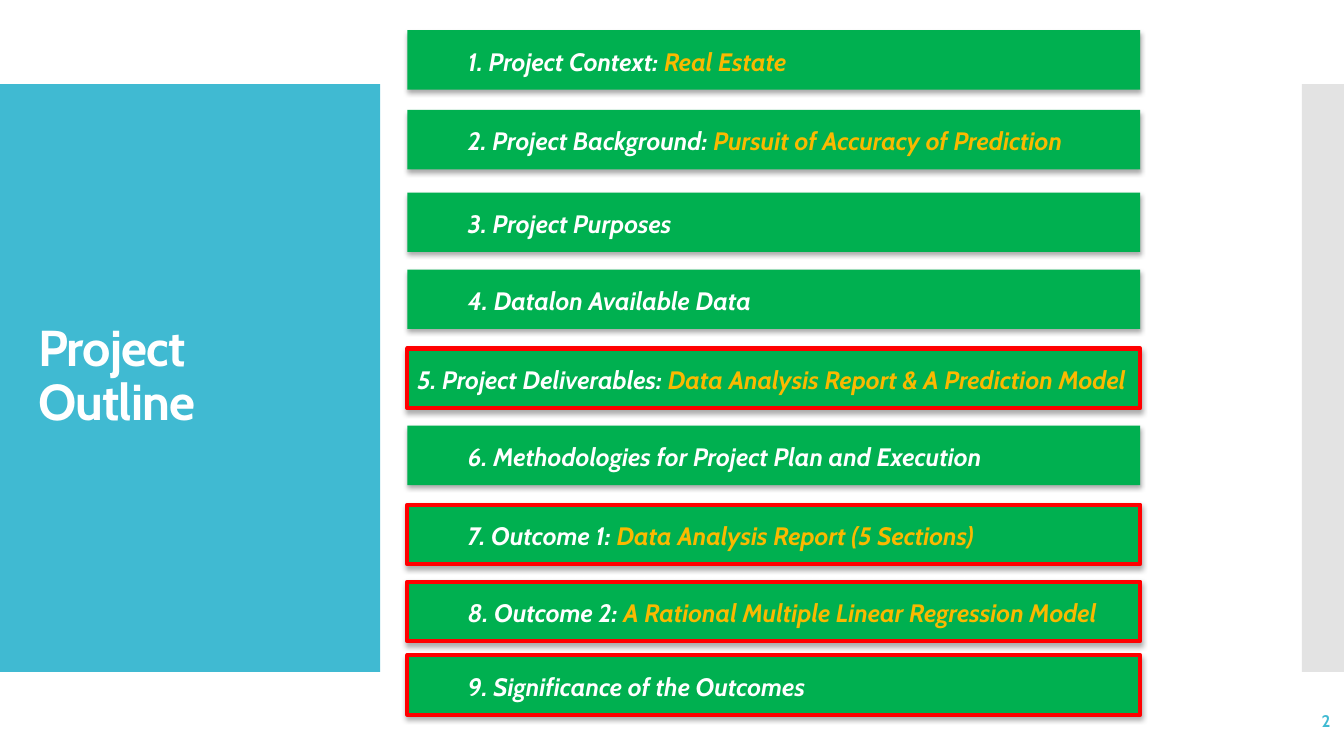
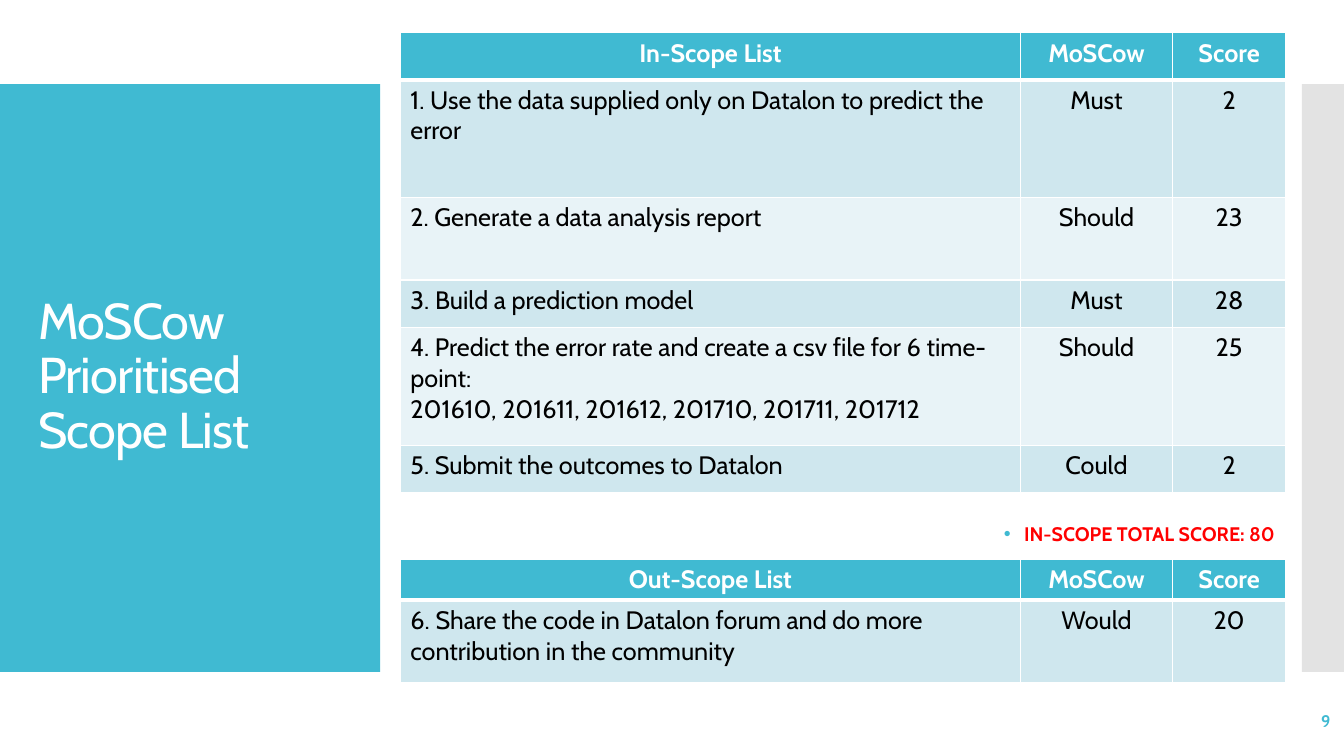
import pptx
import pptx.util
import pptx.dml.color
import pptx.enum.shapes
import pptx.enum.text
import pptx.oxml
import pptx.oxml.ns
import lxml.etree

Pt = pptx.util.Pt
ALIGN = pptx.enum.text.PP_ALIGN
ANCHOR = pptx.enum.text.MSO_ANCHOR
NAMESPACE = pptx.oxml.ns.nsdecls("a")

COLOURS = {
    "teal": "40BAD2", "grey": "C8C8C8", "white": "FFFFFF", "black": "000000",
    "green": "00B050", "amber": "FAB900", "red": "FF0000",
    "row_dark": "CFE7EE", "row_light": "E8F3F7",
}
FORMATS = {
    "title": {"size": Pt(36)},
    "title_bold": {"size": Pt(36), "bold": True},
    "number": {"size": Pt(12), "bold": True},
    "bar": {"size": Pt(18), "bold": True, "italic": True},
    "header": {"size": Pt(18), "bold": True},
    "cell": {"size": Pt(18), "bold": False},
    "total": {"size": Pt(14), "bold": True},
}
SPACING = {
    "title": {"alignment": ALIGN.LEFT, "line_spacing": 0.9},
    "number": {"alignment": ALIGN.RIGHT},
    "bar": {"alignment": ALIGN.LEFT, "line_spacing": 1.07, "space_after": Pt(8)},
    "total": {"alignment": ALIGN.RIGHT, "line_spacing": 0.9, "space_before": Pt(0)},
}

BAR_LEFT, BAR_WIDTH, BAR_HEIGHT = 291, 523.5, 42.5
BAR_INSET, BAR_INDENT = 7.2, 43.2
OUTLINE = [
    (21.6, "1. Project Context: ", "Real Estate", False),
    (78.5, "2. Project Background: ", "Pursuit of Accuracy of Prediction", False),
    (137.5, "3. Project Purposes", "", False),
    (192.5, "4. Datalon Available Data", "", False),
    (249, "5. Project Deliverables: ", "Data Analysis Report & A Prediction Model", True),
    (304, "6. Methodologies for Project Plan and Execution", "", False),
    (360.5, "7. Outcome 1: ", "Data Analysis Report (5 Sections)", True),
    (415.5, "8. Outcome 2: ", "A Rational Multiple Linear Regression Model", True),
    (468, "9. Significance of the Outcomes", "", True),
]
TABLE_LEFT, COLUMN_WIDTHS = 286, [443, 108.5, 81]
IN_SCOPE = [
    ("In-Scope List", "MoSCow", "Score"),
    ("1. Use the data supplied only on Datalon to predict the error", "Must", "2"),
    ("2. Generate a data analysis report", "Should", "23"),
    ("3. Build a prediction model", "Must", "28"),
    ("4. Predict the error rate and create a csv file for 6 time-point:\n"
     "201610, 201611, 201612, 201710, 201711, 201712", "Should", "25"),
    ("5. Submit the outcomes to Datalon", "Could", "2"),
]
OUT_SCOPE = [
    ("Out-Scope List", "MoSCow", "Score"),
    ("6. Share the code in Datalon forum and do more contribution in the community",
     "Would", "20"),
]


def assign(target, values):
    for name, value in values.items():
        setattr(target, name, value)


def colour(name):
    return pptx.dml.color.RGBColor.from_string(COLOURS[name])


class ScopeDeck:
    font = "Cabin"

    def __init__(self):
        self.deck = pptx.Presentation()
        assign(self.deck, {"slide_width": Pt(960), "slide_height": Pt(540)})
        self.page = None

    def start(self, layout, title, number, style):
        self.page = self.deck.slides.add_slide(self.deck.slide_layouts[layout])
        if len(self.deck.slides) == 1:
            self.master_bands()
        box = self.page.shapes.title
        self.place(box, 20, 88.5, 232, 362)
        para = self.fill_frame(box, ANCHOR.MIDDLE, "title")
        span = self.add_span(para, title, style, "white")
        span._r.get_or_add_rPr().set("spc", "-60")
        box = self.page.shapes.add_textbox(Pt(837.5), Pt(500.5), Pt(120), Pt(29))
        para = self.fill_frame(box, ANCHOR.MIDDLE, "number")
        self.add_span(para, number, "number", "teal")

    def master_bands(self):
        panel = self.add_rectangle(0, 60, 271.5, 420, "teal")
        strip = self.add_rectangle(930, 60, 30, 420, "grey")
        tint = strip._element.spPr.find(".//" + pptx.oxml.ns.qn("a:srgbClr"))
        lxml.etree.SubElement(tint, pptx.oxml.ns.qn("a:alpha"), val="50000")
        for band in (strip, panel):
            self.deck.slide_master.shapes._spTree.insert(2, band._element)

    def place(self, box, left, top, width, height):
        assign(box, {"left": Pt(left), "top": Pt(top),
                     "width": Pt(width), "height": Pt(height)})

    def fill_frame(self, box, anchor, spacing):
        frame = box.text_frame
        assign(frame, {"word_wrap": True, "vertical_anchor": anchor,
                       "auto_size": pptx.enum.text.MSO_AUTO_SIZE.NONE})
        para = frame.paragraphs[0]
        assign(para, SPACING[spacing])
        return para

    def add_span(self, para, text, style, tint):
        span = para.add_run()
        span.text = text
        assign(span.font, {"name": self.font, **FORMATS[style]})
        span.font.color.rgb = colour(tint)
        return span

    def add_rectangle(self, left, top, width, height, tint):
        box = self.page.shapes.add_shape(
            pptx.enum.shapes.MSO_SHAPE.RECTANGLE,
            Pt(left), Pt(top), Pt(width), Pt(height))
        box.shadow.inherit = False
        box.fill.solid()
        box.fill.fore_color.rgb = colour(tint)
        box.line.fill.background()
        return box

    def add_bar(self, top, label, detail, outlined, inset):
        box = self.add_rectangle(BAR_LEFT, top, BAR_WIDTH, BAR_HEIGHT, "green")
        if outlined:
            box.line.color.rgb = colour("red")
            box.line.width = Pt(3)
        effects = box._element.spPr.find(pptx.oxml.ns.qn("a:effectLst"))
        effects.append(pptx.oxml.parse_xml(
            f'<a:outerShdw {NAMESPACE} blurRad="{Pt(3.5)}" dist="{Pt(2.2)}" dir="5400000">'
            f'<a:srgbClr val="{COLOURS["black"]}"><a:alpha val="32000"/></a:srgbClr>'
            '</a:outerShdw>'))
        para = self.fill_frame(box, ANCHOR.MIDDLE, "bar")
        box.text_frame.margin_left = Pt(inset)
        self.add_span(para, label, "bar", "white")
        if detail:
            self.add_span(para, detail, "bar", "amber")

    def add_total(self, text):
        box = self.page.placeholders[1]
        self.place(box, 620, 362, 298, 40)
        para = self.fill_frame(box, ANCHOR.MIDDLE, "total")
        self.add_span(para, text, "total", "red")
        settings = para._p.get_or_add_pPr()
        settings.set("marL", str(Pt(14.4)))
        settings.set("indent", str(Pt(-14.4)))
        for bullet in (
            f'<a:buClr {NAMESPACE}><a:srgbClr val="{COLOURS["teal"]}"/></a:buClr>',
            f'<a:buFont {NAMESPACE} typeface="Arial"/>',
            f'<a:buChar {NAMESPACE} char="•"/>',
        ):
            settings.append(pptx.oxml.parse_xml(bullet))

    def add_scope_table(self, top, rows, heights):
        table = self.page.shapes.add_table(
            len(rows), len(COLUMN_WIDTHS), Pt(TABLE_LEFT), Pt(top),
            Pt(sum(COLUMN_WIDTHS)), Pt(sum(heights))).table
        for column, width in zip(table.columns, COLUMN_WIDTHS):
            column.width = Pt(width)
        for line, height in zip(table.rows, heights):
            line.height = Pt(height)
        for row, texts in enumerate(rows):
            for column, text in enumerate(texts):
                self.fill_cell(table.cell(row, column), row, column, text)

    def fill_cell(self, cell, row, column, text):
        header = row == 0
        fill = "teal" if header else ("row_light", "row_dark")[row % 2]
        self.add_borders(cell, row)
        cell.fill.solid()
        cell.fill.fore_color.rgb = colour(fill)
        cell.vertical_anchor = ANCHOR.TOP
        frame = cell.text_frame
        for index, part in enumerate(text.split("\n")):
            para = frame.add_paragraph() if index else frame.paragraphs[0]
            para.alignment = ALIGN.CENTER if header or column else ALIGN.LEFT
            self.add_span(para, part, "header" if header else "cell",
                          "white" if header else "black")

    def add_borders(self, cell, row):
        settings = cell._tc.get_or_add_tcPr()
        for side in "LRTB":
            width = 3 if (row, side) in ((0, "B"), (1, "T")) else 1
            settings.append(pptx.oxml.parse_xml(
                f'<a:ln{side} {NAMESPACE} w="{Pt(width)}"><a:solidFill>'
                f'<a:srgbClr val="{COLOURS["white"]}"/></a:solidFill></a:ln{side}>'))


def main():
    scope = ScopeDeck()

    scope.start(5, "Project Outline", "2", "title_bold")
    for top, label, detail, outlined in OUTLINE:
        inset = BAR_INSET if label.startswith("5.") else BAR_INDENT
        scope.add_bar(top, label, detail, outlined, inset)

    scope.start(1, "MoSCow Prioritised Scope List", "9", "title")
    scope.add_scope_table(23.5, IN_SCOPE, [33.5, 84, 59, 34, 84, 34])
    scope.add_total("IN-SCOPE TOTAL SCORE: 80")
    scope.add_scope_table(399.5, OUT_SCOPE, [29, 59])

    scope.deck.save("out.pptx")


if __name__ == "__main__":
    main()
